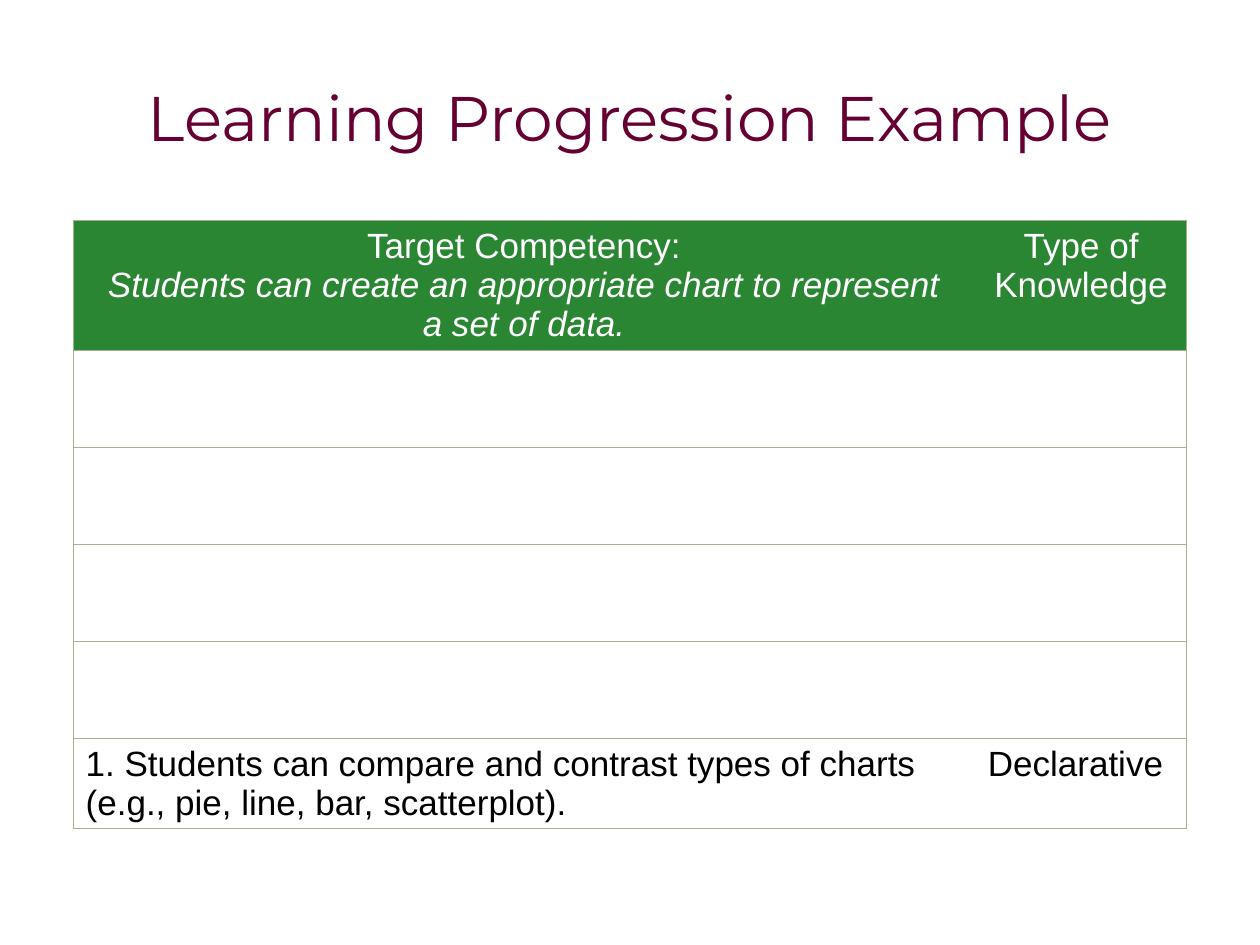
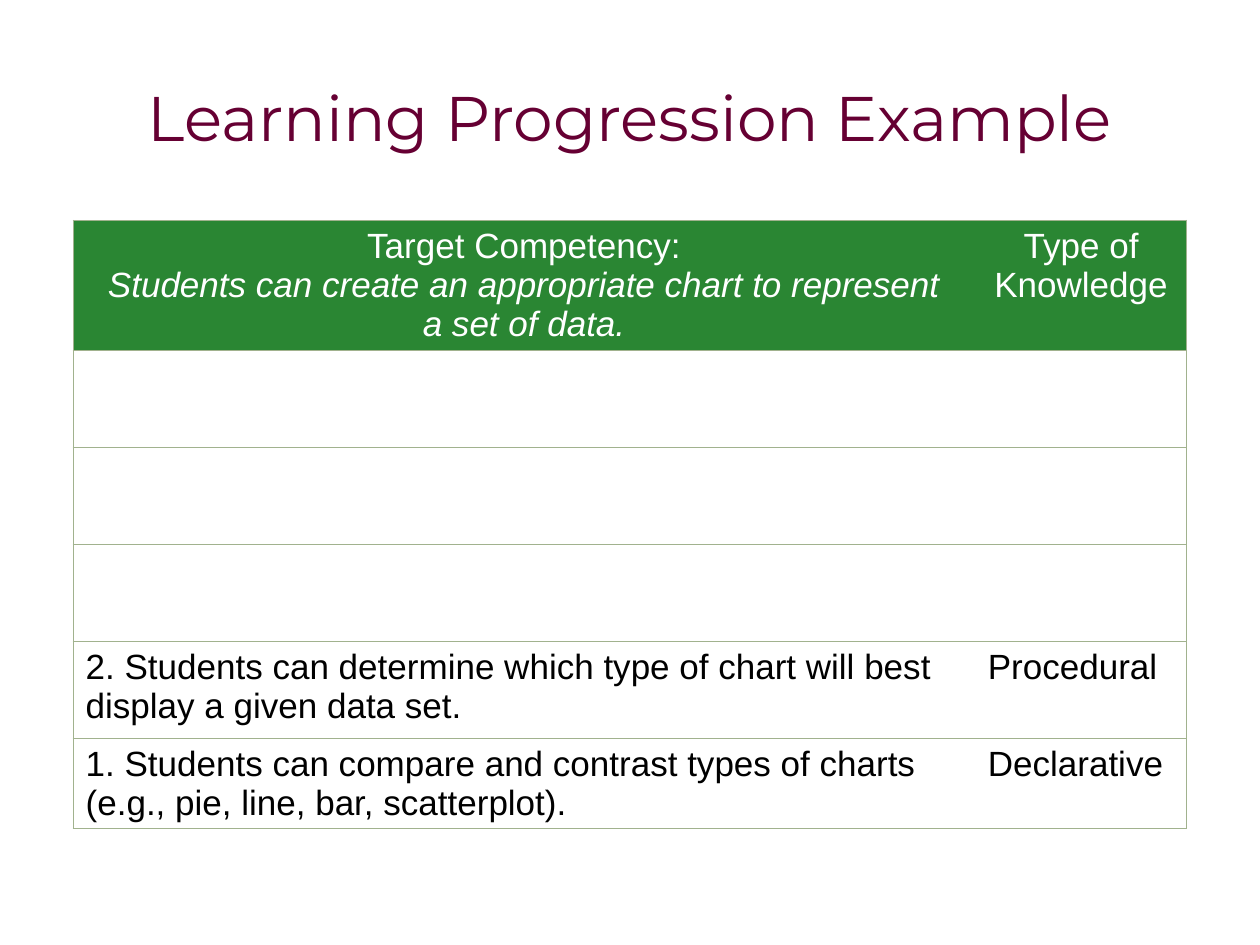
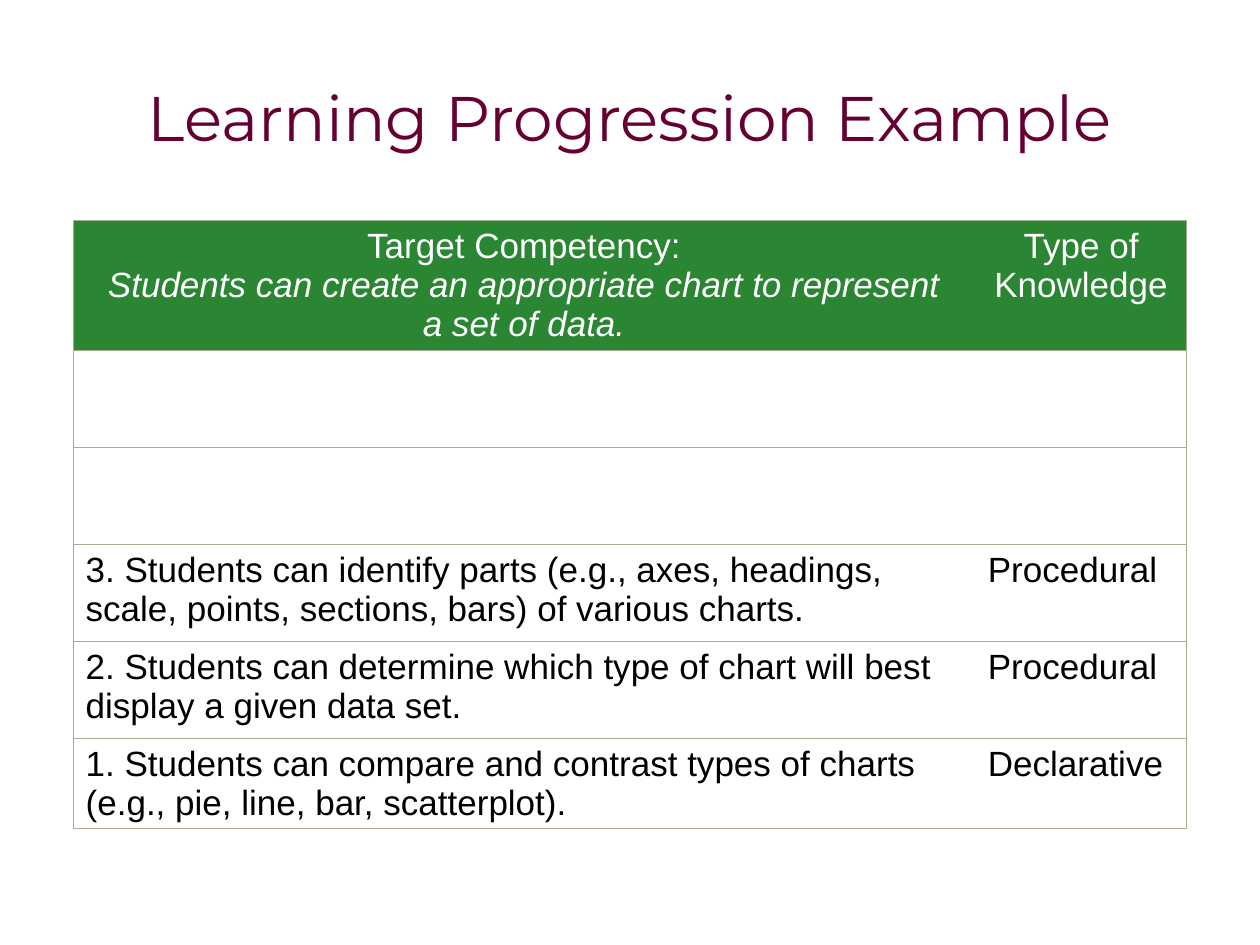
from lxml.etree import SubElement
from pptx import Presentation
from pptx.dml.color import RGBColor
from pptx.enum.text import MSO_ANCHOR, MSO_AUTO_SIZE, PP_ALIGN
from pptx.oxml.ns import qn
from pptx.util import Inches, Pt

# Shared style
WINE, GREEN, SAGE = "660033", "2A8633", "A1B28E"
WHITE, BLACK = "FFFFFF", "000000"
TITLE_FONT, BODY_FONT = "Montserrat", "Arial"
TITLE_BOX = (0.5, 0.3, 9, 1.25)
TABLE_BOX = (0.58, 1.75, 8.83, 4.95)
COLUMN_WIDTHS = (7.16, 1.68)
ROW_HEIGHTS = (0.9, 0.77, 0.77, 0.77, 0.77, 0.7)

# Content
TITLE = "Learning Progression Example"
TARGET = [
    [("Target Competency:", False), None,
     ("Students can create an appropriate chart to represent", True)],
    [("a set of data.", True)],
]
STEPS = [
    ("1. Students can compare and contrast types of charts "
     "(e.g., pie, line, bar, scatterplot).", "Declarative"),
    ("2. Students can determine which type of chart will best "
     "display a given data set.", "Procedural"),
    ("3. Students can identify parts (e.g., axes, headings, scale, "
     "points, sections, bars) of various charts.", "Procedural"),
]


def rgb(hex_color):
    return RGBColor.from_string(hex_color)


def write(frame, text, size=20, font=BODY_FONT, color=BLACK, align=PP_ALIGN.LEFT):
    """Write a string, or paragraphs of (text, italic) pieces; None is a line break."""
    paragraphs = [[(text, False)]] if isinstance(text, str) else text
    for index, pieces in enumerate(paragraphs):
        paragraph = frame.add_paragraph() if index else frame.paragraphs[0]
        paragraph.alignment = align
        for piece in pieces:
            if piece is None:
                paragraph.add_line_break()
                continue
            run = paragraph.add_run()
            run.text, run.font.italic = piece
            run.font.size, run.font.name = Pt(size), font
            run.font.bold = False
            run.font.color.rgb = rgb(color)


def set_borders(cell, **colors):
    """Draw the sides L, R, T and B; a side without a colour stays open."""
    properties = cell._tc.get_or_add_tcPr()
    for position, side in enumerate("LRTB"):
        line = SubElement(properties, qn(f"a:ln{side}"), w=str(Pt(0.75)))
        properties.insert(position, line)
        color = colors.get(side)
        if color:
            fill = SubElement(line, qn("a:solidFill"))
            SubElement(fill, qn("a:srgbClr"), val=color)
        else:
            SubElement(line, qn("a:noFill"))


def add_title(slide, box):
    title = slide.shapes.title
    title.left, title.top, title.width, title.height = map(Inches, box)
    frame = title.text_frame
    frame.vertical_anchor = MSO_ANCHOR.MIDDLE
    frame.auto_size = MSO_AUTO_SIZE.NONE
    write(frame, TITLE, size=36, font=TITLE_FONT, color=WINE, align=PP_ALIGN.CENTER)


def add_progression(slide, box, step_count):
    """Fill the table from the bottom row up with the first steps."""
    table = slide.shapes.add_table(
        len(ROW_HEIGHTS), len(COLUMN_WIDTHS), *map(Inches, box)).table
    table.first_row = table.horz_banding = False
    for column, width in zip(table.columns, COLUMN_WIDTHS):
        column.width = Inches(width)
    for row, height in zip(table.rows, ROW_HEIGHTS):
        row.height = Inches(height)

    # Fills and the frame, open between the two columns
    for row_index, row in enumerate(table.rows):
        for cell, outer_side in zip(row.cells, "LR"):
            if row_index == 0:
                cell.fill.solid()
                cell.fill.fore_color.rgb = rgb(GREEN)
            else:
                cell.fill.background()
            set_borders(cell, T=SAGE, B=SAGE, **{outer_side: SAGE})

    # Header
    for column_index, heading in enumerate((TARGET, "Type of Knowledge")):
        write(table.cell(0, column_index).text_frame, heading,
              color=WHITE, align=PP_ALIGN.CENTER)

    # Steps
    for step_index, step in enumerate(STEPS[:step_count]):
        row_index = len(ROW_HEIGHTS) - 1 - step_index
        for column_index, text in enumerate(step):
            write(table.cell(row_index, column_index).text_frame, text)


def main():
    deck = Presentation()
    deck.slide_width, deck.slide_height = Inches(10), Inches(7.5)
    title_only = deck.slide_layouts[5]
    for step_count in range(1, len(STEPS) + 1):
        slide = deck.slides.add_slide(title_only)
        add_title(slide, TITLE_BOX)
        add_progression(slide, TABLE_BOX, step_count)
    deck.save("out.pptx")


if __name__ == "__main__":
    main()
